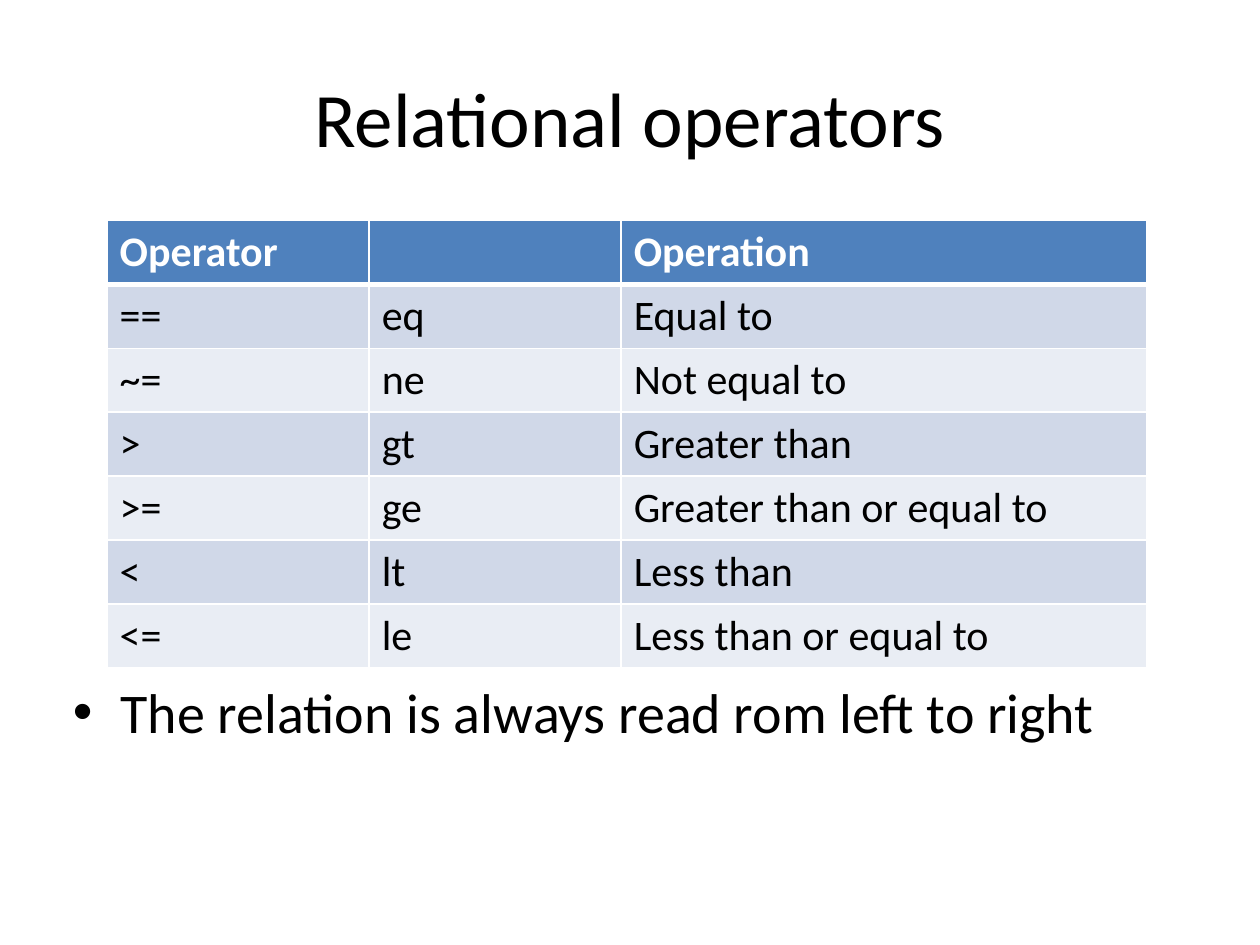
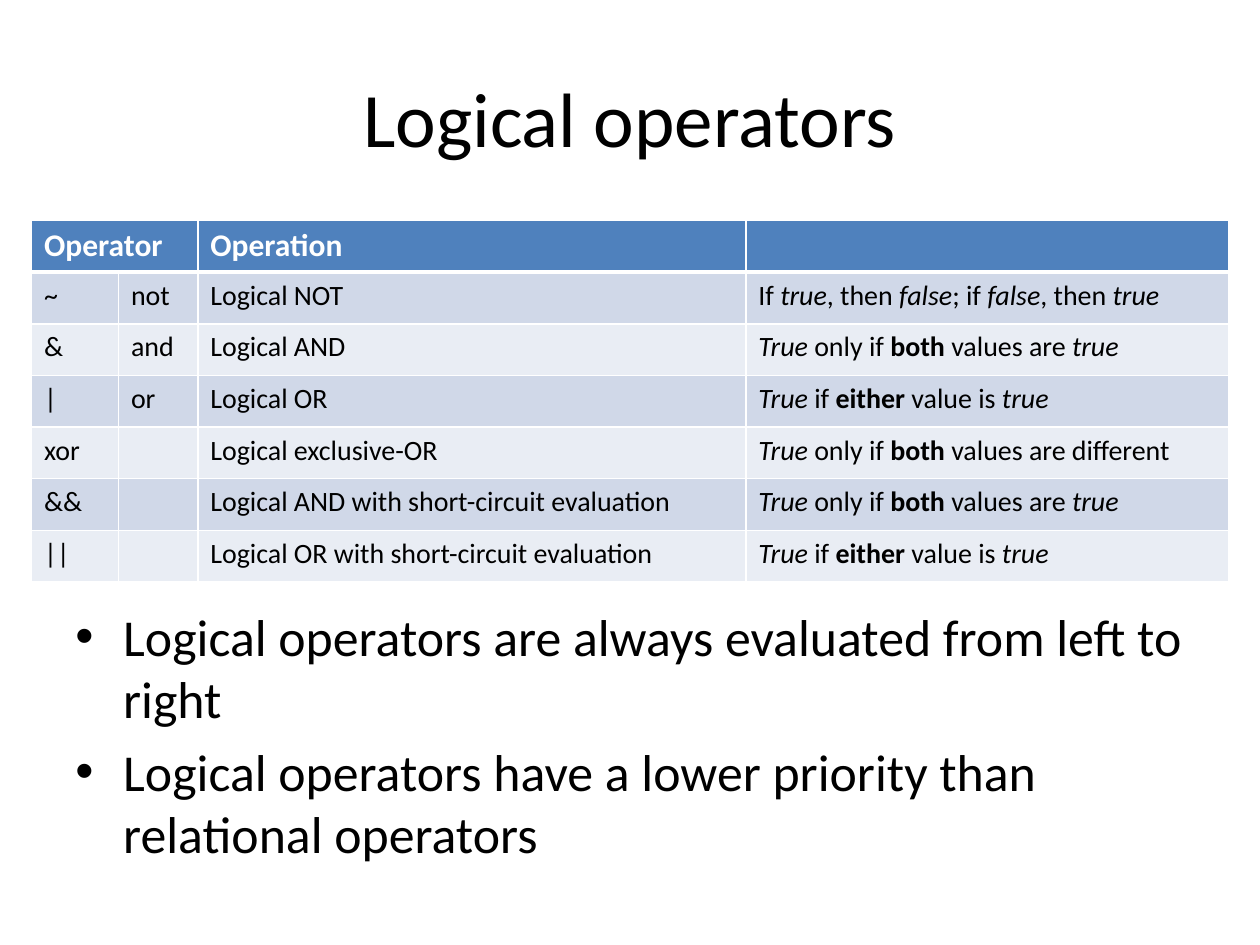
from dataclasses import dataclass

import pptx
import pptx.dml.color
import pptx.enum.text
import pptx.oxml
import pptx.oxml.ns
import pptx.util
from pptx.util import Inches

# Shared look
FONT = "Calibri"
COLORS = {
    "text": "000000",
    "header_text": "FFFFFF",
    "border": "FFFFFF",
    "header": "4F81BD",
    "odd_row": "D0D8E8",
    "even_row": "E9EDF4",
}
TITLE_BOX = (0.5, 0.3, 9, 1.25)
TITLE_SIZE = 44
BULLET_INDENT = 0.38
TABLE_TOP = 1.75
THIN, THICK = 1, 3


@dataclass
class OperatorTable:
    left: float
    columns: list[float]
    row_height: float
    header_size: float
    body_size: float
    rows: list[list[str]]
    merge_operator: bool = False


@dataclass
class BulletList:
    box: tuple[float, float, float, float]
    size: float
    items: list[str]


@dataclass
class OperatorSlide:
    title: str
    table: OperatorTable
    bullets: BulletList


def write_text(paragraph, text: str, *, size: float, color: str = "text",
               bold: bool = False, align=None) -> None:
    """Write runs; *words* turn bold and _words_ turn italic."""
    if align is not None:
        paragraph.alignment = align
    for bold_index, bold_part in enumerate(text.split("*")):
        for italic_index, part in enumerate(bold_part.split("_")):
            if not part:
                continue
            run = paragraph.add_run()
            run.text = part
            font = run.font
            font.name = FONT
            font.size = pptx.util.Pt(size)
            font.bold = bold or bold_index % 2 == 1
            font.italic = italic_index % 2 == 1
            font.color.rgb = pptx.dml.color.RGBColor.from_string(COLORS[color])


def set_borders(cell, top: float, bottom: float) -> None:
    properties = cell._tc.get_or_add_tcPr()
    for side, width in (("L", THIN), ("R", THIN), ("T", top), ("B", bottom)):
        properties.append(pptx.oxml.parse_xml(
            f'<a:ln{side} {pptx.oxml.ns.nsdecls("a")} w="{pptx.util.Pt(width)}">'
            f'<a:solidFill><a:srgbClr val="{COLORS["border"]}"/></a:solidFill>'
            f'</a:ln{side}>'))


def add_title(slide, text: str) -> None:
    title = slide.shapes.title
    title.left, title.top, title.width, title.height = map(Inches, TITLE_BOX)
    title.text_frame.vertical_anchor = pptx.enum.text.MSO_ANCHOR.MIDDLE
    write_text(title.text_frame.paragraphs[0], text, size=TITLE_SIZE,
               align=pptx.enum.text.PP_ALIGN.CENTER)


def add_operator_table(slide, spec: OperatorTable) -> None:
    row_count = len(spec.rows)
    table = slide.shapes.add_table(
        row_count, len(spec.columns), Inches(spec.left), Inches(TABLE_TOP),
        Inches(sum(spec.columns)), Inches(spec.row_height * row_count)).table
    for column, width in zip(table.columns, spec.columns):
        column.width = Inches(width)

    for row_index, texts in enumerate(spec.rows):
        table.rows[row_index].height = Inches(spec.row_height)
        is_header = row_index == 0
        if is_header:
            fill = "header"
        else:
            fill = "odd_row" if row_index % 2 else "even_row"
        for column_index, text in enumerate(texts):
            cell = table.cell(row_index, column_index)
            set_borders(cell, top=THICK if row_index == 1 else THIN,
                        bottom=THICK if is_header else THIN)
            cell.fill.solid()
            cell.fill.fore_color.rgb = pptx.dml.color.RGBColor.from_string(COLORS[fill])
            write_text(cell.text_frame.paragraphs[0], text,
                       size=spec.header_size if is_header else spec.body_size,
                       color="header_text" if is_header else "text",
                       bold=is_header)
    if spec.merge_operator:
        table.cell(0, 0).merge(table.cell(0, 1))


def add_bullets(slide, spec: BulletList) -> None:
    frame = slide.shapes.add_textbox(*map(Inches, spec.box)).text_frame
    frame.word_wrap = True
    for index, item in enumerate(spec.items):
        paragraph = frame.add_paragraph() if index else frame.paragraphs[0]
        paragraph.space_before = pptx.util.Pt(0.2 * spec.size)
        properties = paragraph._p.get_or_add_pPr()
        properties.set("marL", str(Inches(BULLET_INDENT)))
        properties.set("indent", str(-Inches(BULLET_INDENT)))
        for bullet in ('buFont {} typeface="Arial"', 'buChar {} char="•"'):
            properties.append(pptx.oxml.parse_xml(
                f'<a:{bullet.format(pptx.oxml.ns.nsdecls("a"))}/>'))
        write_text(paragraph, item, size=spec.size)


# Content
BOTH_TRUE = "_True_ only if *both* values are _true_"
EITHER_TRUE = "_True_ if *either* value is _true_"

SLIDES = [
    OperatorSlide(
        "Relational operators",
        OperatorTable(
            left=0.85, columns=[2.08, 2, 4.17], row_height=0.5,
            header_size=24, body_size=24,
            rows=[
                ["Operator", "", "Operation"],
                ["==", "eq", "Equal to"],
                ["~=", "ne", "Not equal to"],
                [">", "gt", "Greater than"],
                [">=", "ge", "Greater than or equal to"],
                ["<", "lt", "Less than"],
                ["<=", "le", "Less than or equal to"],
            ]),
        BulletList((0.48, 5.33, 9, 2.15), 32,
                   ["The relation is always read rom left to right"])),
    OperatorSlide(
        "Logical operators",
        OperatorTable(
            left=0.25, columns=[0.69, 0.63, 4.35, 3.83], row_height=0.41,
            header_size=18, body_size=16, merge_operator=True,
            rows=[
                ["Operator", "", "Operation", ""],
                ["~", "not", "Logical NOT",
                 "If _true_, then _false_; if _false_, then _true_"],
                ["&", "and", "Logical AND", BOTH_TRUE],
                ["|", "or", "Logical OR", EITHER_TRUE],
                ["xor", "", "Logical exclusive-OR",
                 "_True_ only if *both* values are different"],
                ["&&", "", "Logical AND with short-circuit evaluation", BOTH_TRUE],
                ["||", "", "Logical OR with short-circuit evaluation", EITHER_TRUE],
            ]),
        BulletList((0.5, 4.75, 9, 2.17), 29.6,
                   ["Logical operators are always evaluated from left to right",
                    "Logical operators have a lower priority than relational operators"])),
]

# Build
presentation = pptx.Presentation()
presentation.slide_width, presentation.slide_height = Inches(10), Inches(7.5)
title_only = presentation.slide_layouts[5]
for content in SLIDES:
    slide = presentation.slides.add_slide(title_only)
    add_title(slide, content.title)
    add_operator_table(slide, content.table)
    add_bullets(slide, content.bullets)

presentation.save("out.pptx")
